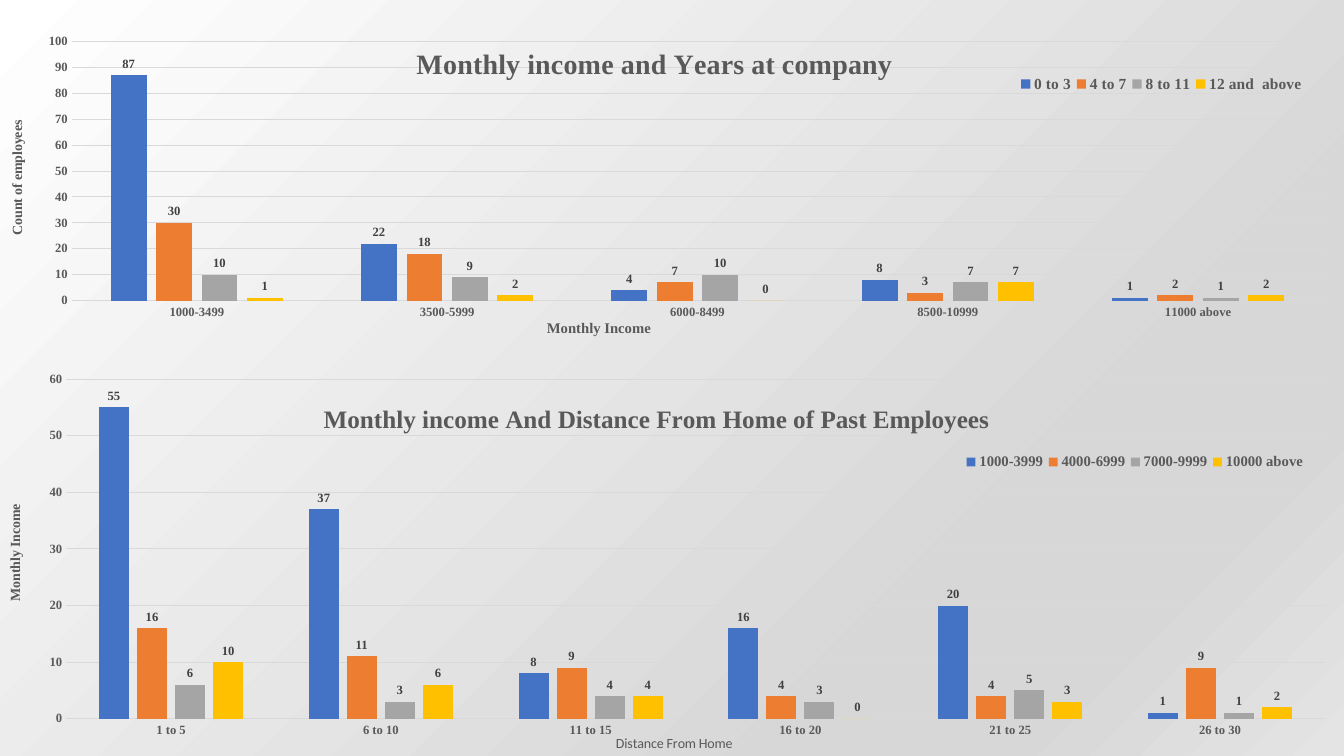
from dataclasses import dataclass

from lxml import etree
from pptx import Presentation
from pptx.chart.data import CategoryChartData
from pptx.dml.color import RGBColor
from pptx.enum.chart import XL_CHART_TYPE, XL_LABEL_POSITION, XL_LEGEND_POSITION, XL_TICK_MARK
from pptx.oxml.ns import qn
from pptx.util import Cm, Pt

COLUMNS = XL_CHART_TYPE.COLUMN_CLUSTERED
OUTSIDE_END = XL_LABEL_POSITION.OUTSIDE_END
LEGEND_BOTTOM = XL_LEGEND_POSITION.BOTTOM
NO_TICK = XL_TICK_MARK.NONE

SERIF = "Times New Roman"
SANS = "Calibri"
BLACK = RGBColor(0x00, 0x00, 0x00)
GRAY_TEXT = RGBColor(0x59, 0x59, 0x59)
LABEL_TEXT = RGBColor(0x40, 0x40, 0x40)
GRID = RGBColor(0xD9, 0xD9, 0xD9)
SERIES_COLORS = (
    RGBColor(0x44, 0x72, 0xC4),
    RGBColor(0xED, 0x7D, 0x31),
    RGBColor(0xA5, 0xA5, 0xA5),
    RGBColor(0xFF, 0xC0, 0x00),
)
WHITE = RGBColor(0xFF, 0xFF, 0xFF)
SILVER = RGBColor(0xD7, 0xD7, 0xD7)
PALE = RGBColor(0xE4, 0xE4, 0xE4)
BACKGROUND_STOPS = ((0, WHITE), (74, SILVER), (83, SILVER), (100, PALE))


@dataclass(frozen=True)
class Caption:
    text: str
    x: float
    y: float
    size: float = 10
    bold: bool = True
    font: str = SERIF


@dataclass(frozen=True)
class ColumnChart:
    box: tuple[float, float, float, float]
    title: Caption
    category_title: Caption
    value_title: Caption
    maximum: int
    categories: tuple[str, ...]
    series: dict[str, tuple[int, ...]]
    plot_area: tuple[float, float, float, float]
    legend_area: tuple[float, float, float, float]
    legend_size: float


DISTANCE_CHART = ColumnChart(
    box=(-0.05, 9.37, 33.71, 9.68),
    title=Caption("Monthly income And Distance From Home of Past Employees", 0.24, 0.07, 18),
    category_title=Caption("Distance From Home", 0.46, 0.94, bold=False, font=SANS),
    value_title=Caption("Monthly Income", 0.004, 0.34),
    maximum=60,
    categories=("1 to 5", "6 to 10", "11 to 15", "16 to 20", "21 to 25", "26 to 30"),
    series={
        "1000-3999": (55, 37, 8, 16, 20, 1),
        "4000-6999": (16, 11, 9, 4, 4, 9),
        "7000-9999": (6, 3, 4, 3, 5, 1),
        "10000 above": (10, 6, 4, 0, 3, 2),
    },
    plot_area=(0.051, 0.019, 0.941, 0.887),
    legend_area=(0.72, 0.2, 0.26, 0.07),
    legend_size=10.5,
)
YEARS_CHART = ColumnChart(
    box=(0, 0.79, 33.45, 7.8),
    title=Caption("Monthly income and Years at company", 0.31, 0.03, 20),
    category_title=Caption("Monthly Income", 0.41, 0.92, 10.5),
    value_title=Caption("Count of employees", 0.004, 0.28),
    maximum=100,
    categories=("1000-3499", "3500-5999", "6000-8499", "8500-10999", "11000 above"),
    series={
        "0 to 3": (87, 22, 4, 8, 1),
        "4 to 7": (30, 18, 7, 3, 2),
        "8 to 11": (10, 9, 10, 7, 1),
        "12 and  above": (1, 2, 0, 7, 2),
    },
    plot_area=(0.054, 0.033, 0.943, 0.837),
    legend_area=(0.765, 0.13, 0.22, 0.08),
    legend_size=11,
)


def set_font(font, size: float, color: RGBColor = GRAY_TEXT, bold: bool = True, name: str = SERIF) -> None:
    for attribute, value in {"size": Pt(size), "bold": bold, "name": name}.items():
        setattr(font, attribute, value)
    font.color.rgb = color


def set_layout(parent, index: int, fractions: tuple[float, ...], inner: bool = False) -> None:
    """Place a chart part by x, y and optionally w, h as fractions of the chart."""
    for old_layout in parent.findall(qn("c:layout")):
        parent.remove(old_layout)
    layout = etree.Element(qn("c:layout"))
    manual = etree.SubElement(layout, qn("c:manualLayout"))
    entries = [("layoutTarget", "inner")] if inner else []
    entries += [("xMode", "edge"), ("yMode", "edge")]
    entries += [(key, str(value)) for key, value in zip("xywh", fractions)]
    for tag, value in entries:
        etree.SubElement(manual, qn(f"c:{tag}"), val=value)
    parent.insert(index, layout)


def write_caption(title, caption: Caption, upright: bool = False) -> None:
    frame = title.text_frame
    frame.text = caption.text
    set_font(frame.paragraphs[0].runs[0].font, caption.size, bold=caption.bold, name=caption.font)
    element = title.element
    if upright:
        body = element.find(".//" + qn("a:bodyPr"))
        body.set("rot", "-5400000")
        body.set("vert", "horz")
    set_layout(element, 1, (caption.x, caption.y))


def style_axes(chart, spec_chart: ColumnChart) -> None:
    category_axis, value_axis = chart.category_axis, chart.value_axis
    for axis in (category_axis, value_axis):
        axis.major_tick_mark = axis.minor_tick_mark = NO_TICK
        set_font(axis.tick_labels.font, 9)
    category_axis.has_major_gridlines = False
    value_axis.has_major_gridlines = True
    for line in (category_axis.format.line, value_axis.major_gridlines.format.line):
        line.color.rgb = GRID
        line.width = Pt(0.75)
    value_axis.format.line.fill.background()
    scale = {"minimum_scale": 0, "maximum_scale": spec_chart.maximum, "major_unit": 10}
    for attribute, value in scale.items():
        setattr(value_axis, attribute, value)
    write_caption(category_axis.axis_title, spec_chart.category_title)
    write_caption(value_axis.axis_title, spec_chart.value_title, upright=True)


def style_series(plot) -> None:
    for attribute, value in {"gap_width": 219, "overlap": -27, "vary_by_categories": False}.items():
        setattr(plot, attribute, value)
    for series, color in zip(plot.series, SERIES_COLORS):
        series.format.fill.solid()
        series.format.fill.fore_color.rgb = color
        series.invert_if_negative = False
        labels = series.data_labels
        labels.show_value = True
        labels.position = OUTSIDE_END
        set_font(labels.font, 9, LABEL_TEXT)


def add_column_chart(page, column_chart: ColumnChart) -> None:
    data = CategoryChartData()
    data.categories = column_chart.categories
    for name, values in column_chart.series.items():
        data.add_series(name, values)
    box = [Cm(length) for length in column_chart.box]
    chart = page.shapes.add_chart(COLUMNS, *box, data).chart
    set_font(chart.font, 10, BLACK, False, SANS)
    chart.has_title = True
    write_caption(chart.chart_title, column_chart.title)
    chart.has_legend = True
    chart.legend.position = LEGEND_BOTTOM
    chart.legend.include_in_layout = False
    set_font(chart.legend.font, column_chart.legend_size)
    style_axes(chart, column_chart)
    style_series(chart.plots[0])
    chart_root = chart.element.find(qn("c:chart"))
    set_layout(chart_root.find(qn("c:legend")), 1, column_chart.legend_area)
    set_layout(chart_root.find(qn("c:plotArea")), 0, column_chart.plot_area, inner=True)


def fill_background(page) -> None:
    fill = page.background.fill
    fill.gradient()
    fill.gradient_angle = 315
    stops = page.element.find(".//" + qn("a:gsLst"))
    for stop in list(stops):
        stops.remove(stop)
    for percent, color in BACKGROUND_STOPS:
        stop = etree.SubElement(stops, qn("a:gs"), pos=str(percent * 1000))
        etree.SubElement(stop, qn("a:srgbClr"), val=str(color))


def main() -> None:
    deck = Presentation()
    deck.slide_width, deck.slide_height = Cm(33.87), Cm(19.05)
    page = deck.slides.add_slide(deck.slide_layouts[6])
    fill_background(page)
    for column_chart in (DISTANCE_CHART, YEARS_CHART):
        add_column_chart(page, column_chart)
    deck.save("out.pptx")


if __name__ == "__main__":
    main()
